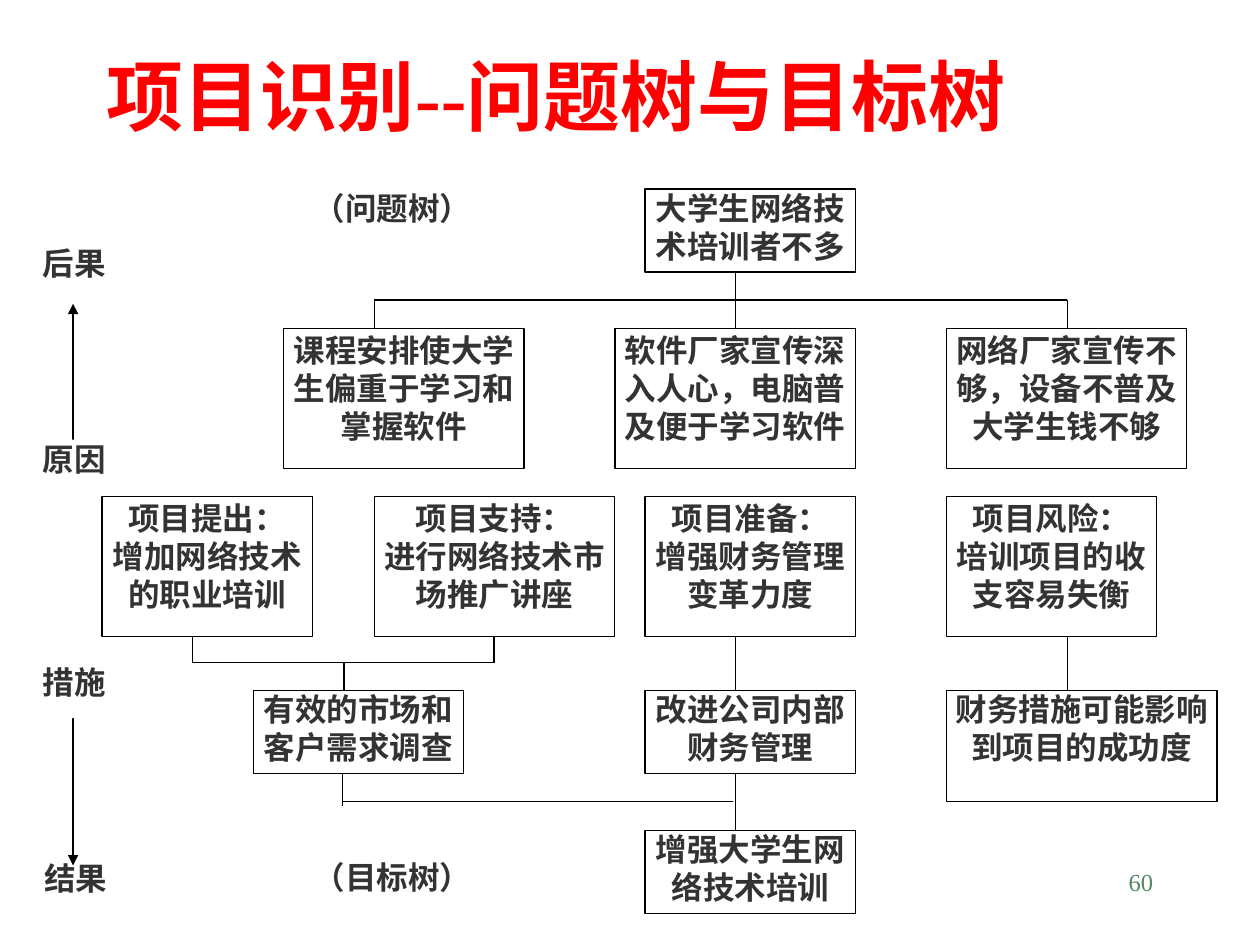
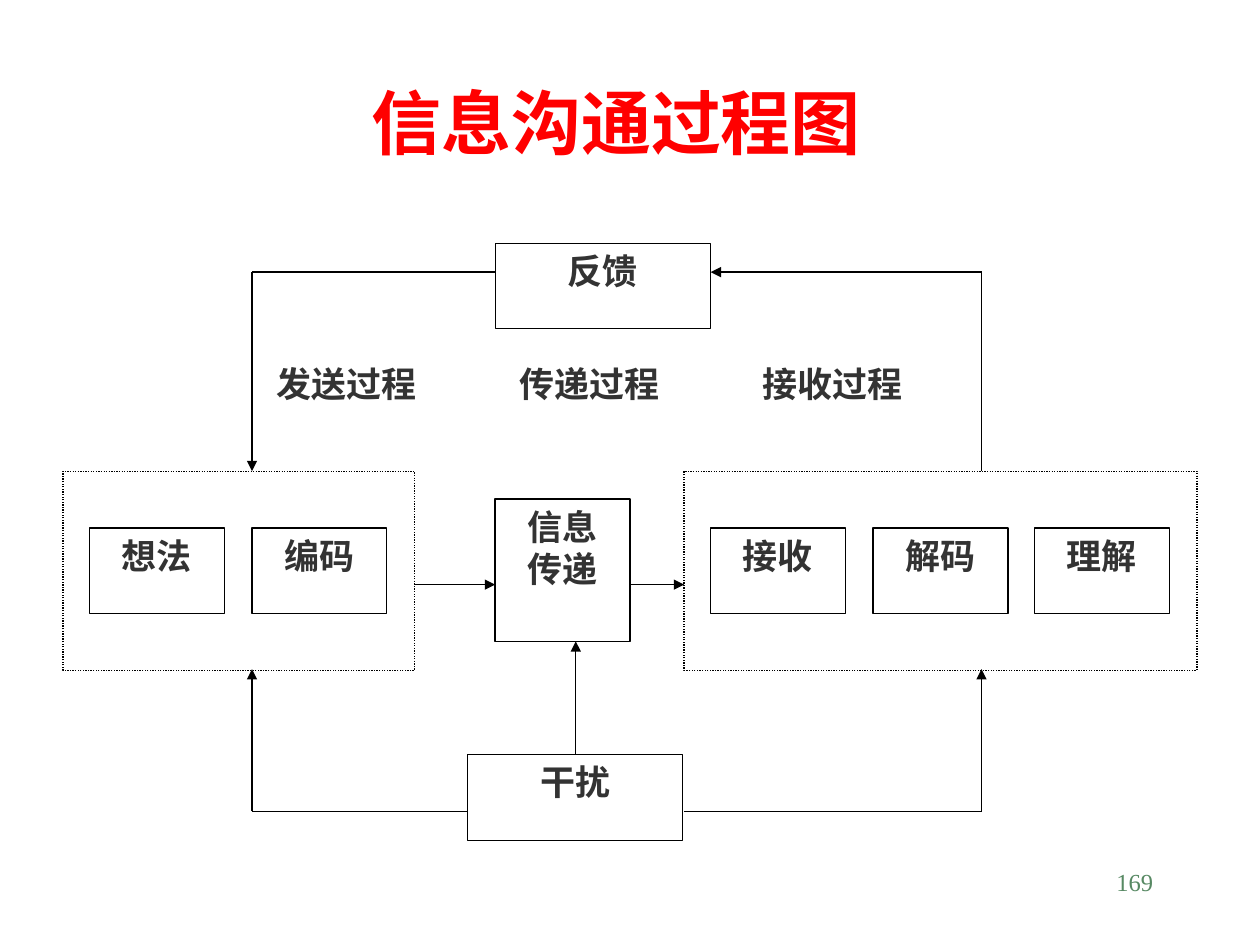
import pptx
import pptx.dml.color
import pptx.enum.dml
import pptx.enum.shapes
import pptx.enum.text
import pptx.oxml
import pptx.oxml.ns
import pptx.util

Inches = pptx.util.Inches
paint = pptx.dml.color.RGBColor.from_string
ALIGN = pptx.enum.text.PP_ALIGN
ANCHOR = pptx.enum.text.MSO_ANCHOR

# Shared look
BLACK, WHITE = "000000", "FFFFFF"
LINE_WIDTH = pptx.util.Pt(0.75)
DEFAULT_INSETS = (0.1, 0.05, 0.1, 0.05)
BODY = {"size": 18, "color": "333333", "bold": True}
LARGE_BODY = {**BODY, "size": 20}
TITLE = {"size": 44, "color": "FF0000", "bold": True}
PAGE_NUMBER = {"size": 14, "color": "578963", "bold": False}
PAGE_NUMBER_PLACE = (7.17, 6.83, 2.08, 0.5)


def add_box(page, place, text="", style=BODY, align=ALIGN.CENTER, insets=DEFAULT_INSETS,
            filled=True, outlined=True, dash=None, anchor=ANCHOR.TOP):
    """Place a rectangle or text box; each line of text becomes a paragraph."""
    lengths = [Inches(value) for value in place]
    if filled:
        box = page.shapes.add_shape(pptx.enum.shapes.MSO_SHAPE.RECTANGLE, *lengths)
        box.shadow.inherit = False
        box.fill.solid()
        box.fill.fore_color.rgb = paint(WHITE)
        if outlined:
            box.line.color.rgb = paint(BLACK)
            box.line.width = LINE_WIDTH
            box.line.dash_style = dash
        else:
            box.line.fill.background()
    else:
        box = page.shapes.add_textbox(*lengths)

    frame = box.text_frame
    margins = zip(("margin_left", "margin_top", "margin_right", "margin_bottom"), insets)
    settings = {name: Inches(value) for name, value in margins}
    settings.update(word_wrap=True, vertical_anchor=anchor)
    for name, value in settings.items():
        setattr(frame, name, value)
    if not text:
        return

    font_values = {"name": "Times New Roman", "size": pptx.util.Pt(style["size"]),
                   "bold": style["bold"]}
    for index, words in enumerate(text.split("\n")):
        para = frame.add_paragraph() if index else frame.paragraphs[0]
        para.alignment = align
        span = para.add_run()
        span.text = words
        for name, value in font_values.items():
            setattr(span.font, name, value)
        span.font.color.rgb = paint(style["color"])


def add_line(page, start_x, start_y, end_x, end_y, arrow=False):
    """Draw a thin straight line, with an optional arrowhead at its end."""
    ends = [Inches(value) for value in (start_x, start_y, end_x, end_y)]
    line = page.shapes.add_connector(pptx.enum.shapes.MSO_CONNECTOR.STRAIGHT, *ends)
    line.line.color.rgb = paint(BLACK)
    line.line.width = LINE_WIDTH
    if arrow:
        head = pptx.oxml.parse_xml(f'<a:tailEnd {pptx.oxml.ns.nsdecls("a")} type="triangle"/>')
        line.line._get_or_add_ln().append(head)
    effects = pptx.oxml.parse_xml(f'<a:effectLst {pptx.oxml.ns.nsdecls("a")}/>')
    line._element.spPr.append(effects)


deck = pptx.Presentation()
deck.slide_width, deck.slide_height = Inches(10), Inches(7.5)
blank = deck.slide_layouts[6]

# Slide 1: problem tree and objective tree
tree_page = deck.slides.add_slide(blank)

# Branches of the problem tree
left_x, middle_x, right_x = 2.97, 5.84, 8.47
effect_y, cause_y, action_y, measure_y, result_y = 1.5, 2.61, 3.94, 5.48, 6.59
problem_bar_y = 2.38
add_line(tree_page, middle_x, 2.16, middle_x, cause_y)
add_line(tree_page, left_x, problem_bar_y, right_x, problem_bar_y)
for x in (left_x, right_x):
    add_line(tree_page, x, problem_bar_y, x, cause_y)

# Branches of the objective tree
action_bottom, measure_bottom = 5.04, 6.14
action_bar_y, measure_bar_y = 5.26, 6.36
for x in (middle_x, right_x):
    add_line(tree_page, x, action_bottom, x, measure_y)
for x in (1.53, 3.92):
    add_line(tree_page, x, action_bottom, x, action_bar_y)
add_line(tree_page, 1.53, action_bar_y, 3.92, action_bar_y)
add_line(tree_page, 2.73, action_bar_y, 2.73, measure_y)
add_line(tree_page, 2.72, measure_bottom, 2.72, 6.4)
add_line(tree_page, 2.72, measure_bar_y, 5.82, measure_bar_y)
add_line(tree_page, middle_x, measure_bottom, middle_x, result_y)

# Arrows between the side labels
add_line(tree_page, 0.58, 3.49, 0.58, 2.41, arrow=True)
add_line(tree_page, 0.58, 5.7, 0.58, 6.87, arrow=True)

# Tree boxes by row: top, height, top inset, then left, width and text of each box
tree_rows = [
    (effect_y, 0.66, 0, [(5.12, 1.67, "大学生网络技术培训者不多")]),
    (cause_y, 1.11, 0.02, [
        (2.25, 1.91, "课程安排使大学生偏重于学习和掌握软件"),
        (4.88, 1.91, "软件厂家宣传深入人心，电脑普及便于学习软件"),
        (7.51, 1.91, "网络厂家宣传不够，设备不普及\n大学生钱不够"),
    ]),
    (action_y, 1.11, 0.02, [
        (0.81, 1.67, "项目提出：\n增加网络技术的职业培训"),
        (2.97, 1.91, "项目支持：\n进行网络技术市场推广讲座"),
        (5.12, 1.67, "项目准备：\n增强财务管理变革力度"),
        (7.51, 1.67, "项目风险：\n培训项目的收支容易失衡"),
    ]),
    (measure_y, 0.66, 0, [
        (2.01, 1.67, "有效的市场和客户需求调查"),
        (5.12, 1.67, "改进公司内部财务管理"),
    ]),
    (measure_y, 0.88, 0, [(7.51, 2.15, "财务措施可能影响到项目的成功度")]),
    (result_y, 0.66, 0, [(5.12, 1.67, "增强大学生网络技术培训")]),
]
for top, height, top_inset, boxes in tree_rows:
    for left, width, text in boxes:
        add_box(tree_page, (left, top, width, height), text, insets=(0, top_inset, 0, 0))

# Side labels and tree names
tree_labels = [
    (0.34, 1.94, 0.72, "后果"),
    (0.34, 3.49, 0.72, "原因"),
    (0.34, 5.26, 0.72, "措施"),
    (2.49, 1.5, 1.44, "（问题树）"),
    (2.49, 6.81, 1.44, "（目标树）"),
]
for left, top, width, text in tree_labels:
    add_box(tree_page, (left, top, width, 0.44), text, align=ALIGN.JUSTIFY,
            insets=(0, 0, 0, 0), outlined=False)
add_box(tree_page, (0.33, 6.81, 0.96, 0.44), "结果", align=ALIGN.JUSTIFY,
        insets=(0.02, 0.01, 0.1, 0.01), filled=False)

add_box(tree_page, (0.75, 0.42, 8.5, 0.67), "项目识别--问题树与目标树", TITLE,
        align=ALIGN.LEFT, filled=False, anchor=ANCHOR.MIDDLE)

# Slide 2: communication process
process_page = deck.slides.add_slide(blank)

# Dotted frames of sender and receiver
for left, width in ((0.5, 2.79), (5.43, 4.07)):
    add_box(process_page, (left, 3.74, width, 1.58),
            dash=pptx.enum.dml.MSO_LINE.ROUND_DOT)

# Steps, all of one size
for left, text in ((0.71, "想法"), (2, "编码"), (5.64, "接收"), (6.93, "解码"), (8.21, "理解")):
    add_box(process_page, (left, 4.19, 1.07, 0.68), text, LARGE_BODY)
add_box(process_page, (3.93, 3.96, 1.07, 1.13), "信息\n传递", LARGE_BODY)
add_box(process_page, (3.93, 1.93, 1.71, 0.68), "反馈", LARGE_BODY)
add_box(process_page, (3.71, 5.99, 1.71, 0.68), "干扰", LARGE_BODY)

# Phase names at equal steps
for index, text in enumerate(("发送过程", "传递过程", "接收过程")):
    add_box(process_page, (2 + 1.93 * index, 2.83, 1.5, 0.68), text, LARGE_BODY, outlined=False)

# Plain parts of the loops, then the arrows
sender_x, receiver_x = 2, 7.79
feedback_y, flow_y, noise_y = 2.16, 4.64, 6.44
plain_lines = [
    (receiver_x, 3.74, receiver_x, feedback_y),
    (sender_x, feedback_y, 3.93, feedback_y),
    (sender_x, noise_y, 3.71, noise_y),
    (5.43, noise_y, receiver_x, noise_y),
]
arrows = [
    (3.29, flow_y, 3.93, flow_y),
    (5, flow_y, 5.43, flow_y),
    (receiver_x, feedback_y, 5.64, feedback_y),
    (sender_x, feedback_y, sender_x, 3.74),
    (4.57, 5.99, 4.57, 5.09),
    (sender_x, noise_y, sender_x, 5.31),
    (receiver_x, noise_y, receiver_x, 5.31),
]
for ends in plain_lines:
    add_line(process_page, *ends)
for ends in arrows:
    add_line(process_page, *ends, arrow=True)

add_box(process_page, (2.21, 0.58, 5.36, 0.9), "信息沟通过程图", {**TITLE, "size": 40}, filled=False)

# Page numbers
for page, number in ((tree_page, "60"), (process_page, "169")):
    add_box(page, PAGE_NUMBER_PLACE, number, PAGE_NUMBER, align=ALIGN.RIGHT, filled=False)

deck.save("out.pptx")
